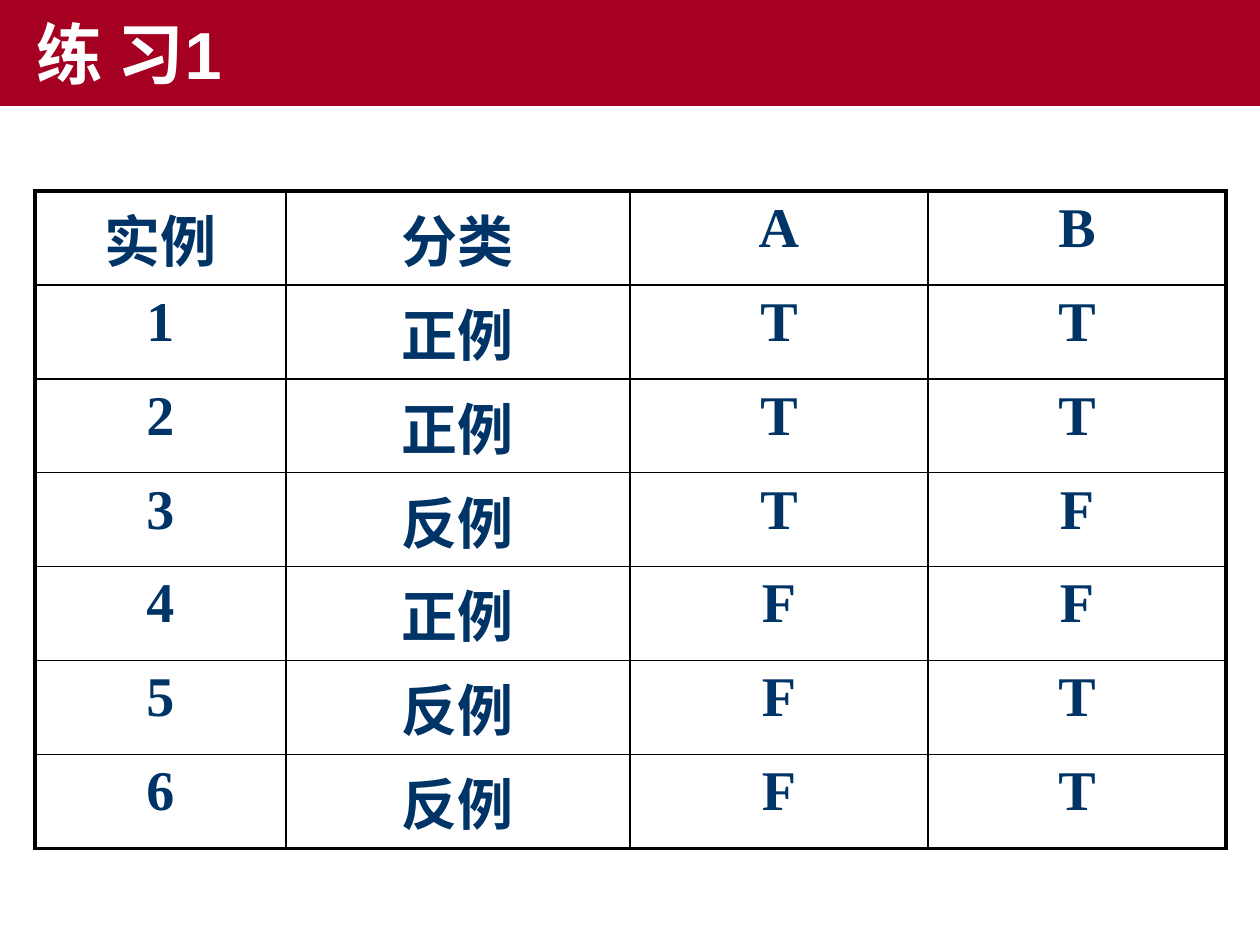
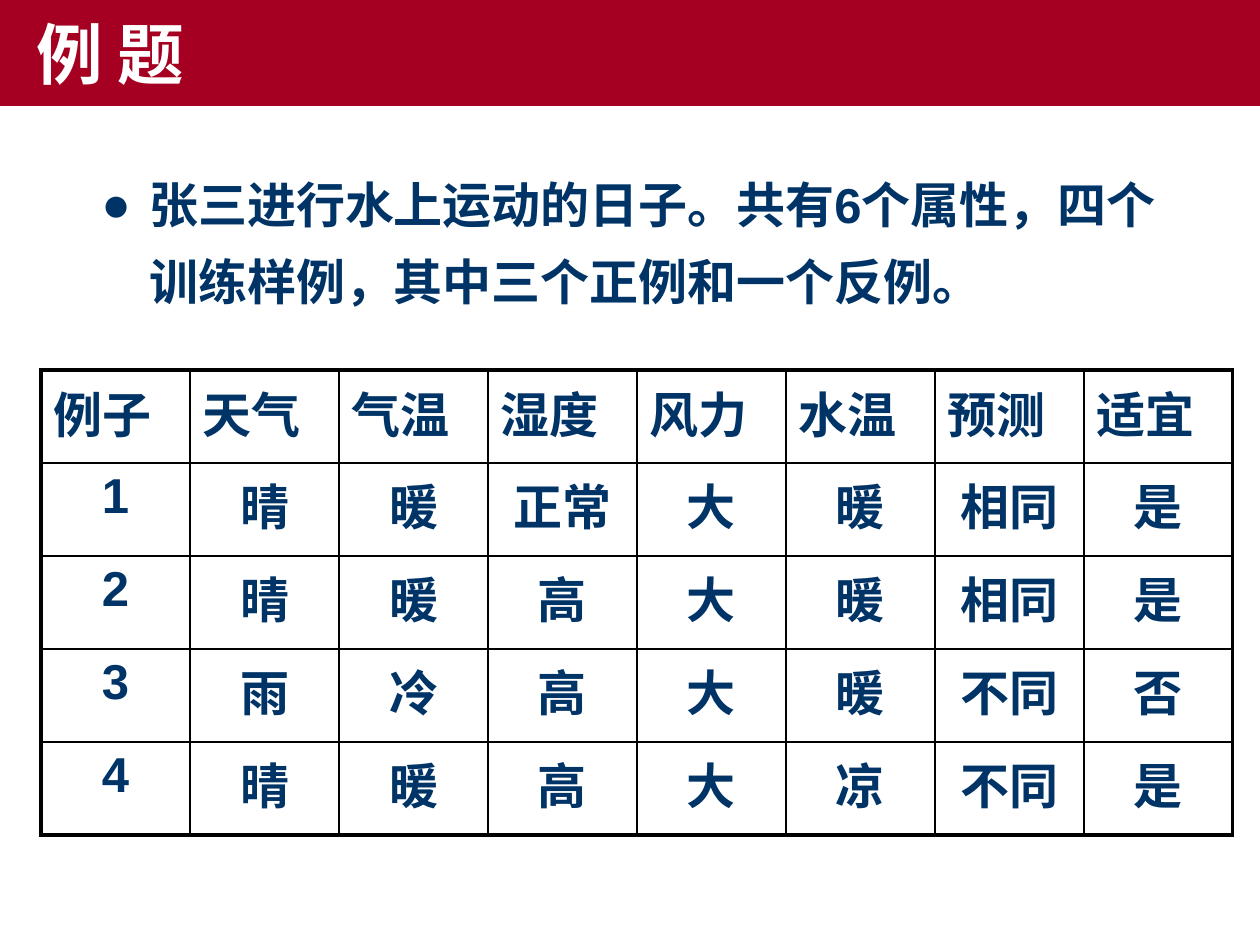
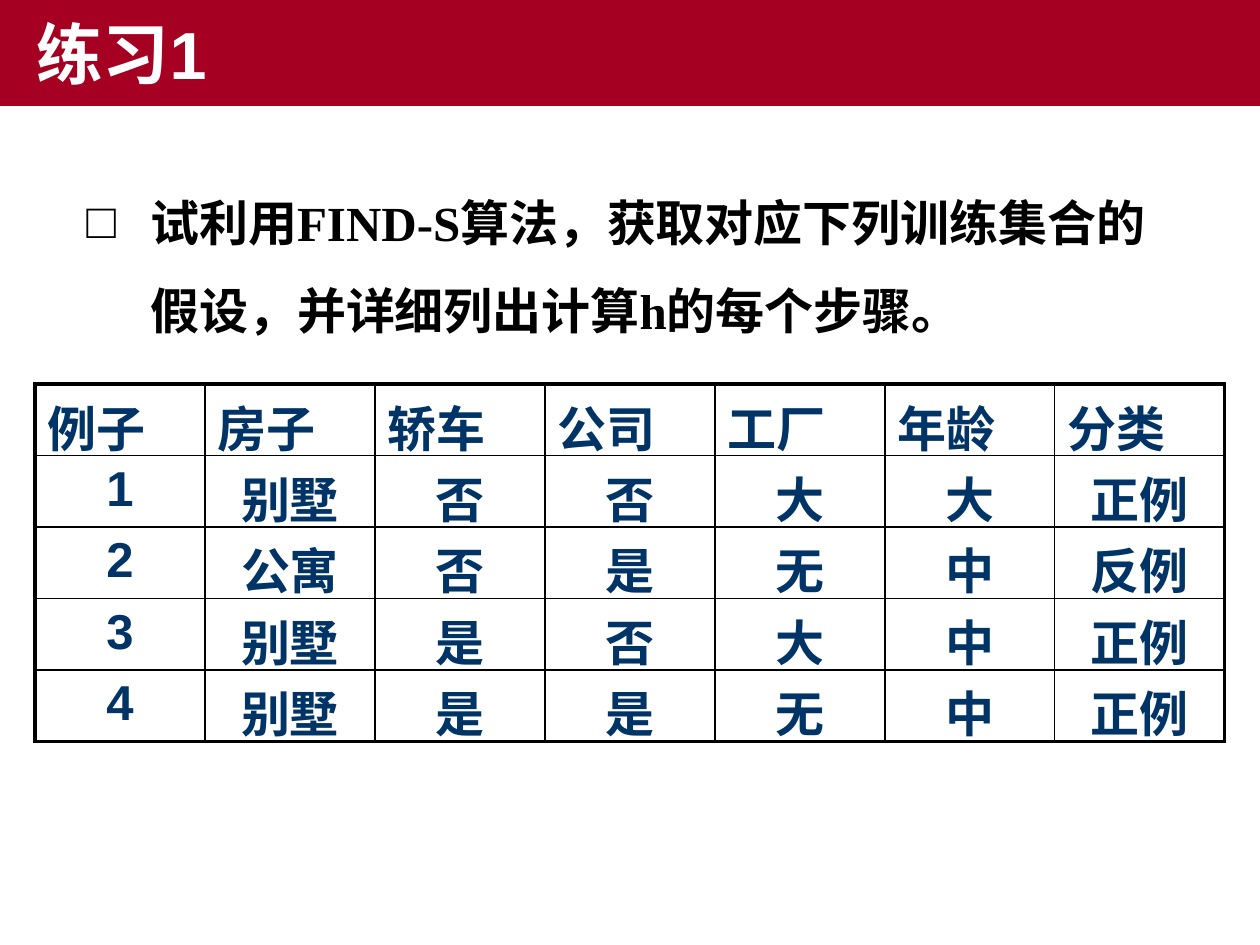
"""Builds three slides of concept-learning exercises with training tables."""
from dataclasses import dataclass

from lxml.etree import SubElement as Sub
from pptx import Presentation
from pptx.dml.color import RGBColor as Rgb
from pptx.enum.shapes import MSO_SHAPE as Shape
from pptx.enum.text import MSO_ANCHOR as Anchor, PP_ALIGN as Align
from pptx.oxml import parse_xml
from pptx.oxml.ns import nsdecls, qn
from pptx.util import Emu, Pt


@dataclass(frozen=True)
class Theme:
    """Colours, fonts, type sizes and line widths shared by the slides."""
    band: str = "A50021"
    navy: str = "003366"
    black: str = "000000"
    white: str = "FFFFFF"
    sans: str = "Arial"
    serif: str = "Times New Roman"
    title: int = 38
    big: int = 32
    body: int = 28
    frame: float = 2.25
    rule: float = 1


T = Theme()
WIDE, HIGH, BAND = 1260, 945, 106

SLIDES = [
    {
        "title": "练 习1",
        "table": {
            "at": (35, 191), "cols": [251, 344, 298, 298], "row": 85,
            "size": T.big, "font": T.serif, "head": Align.CENTER,
            "rows": [
                ("实例", "分类", "A", "B"),
                ("1", "正例", "T", "T"),
                ("2", "正例", "T", "T"),
                ("3", "反例", "T", "F"),
                ("4", "正例", "F", "F"),
                ("5", "反例", "F", "T"),
                ("6", "反例", "F", "T"),
            ],
        },
    },
    {
        "title": "例 题",
        "note": {
            "text": "张三进行水上运动的日子。共有6个属性，四个训练样例，其中三个正例和一个反例。",
            "box": (89, 151, 1081, 164), "mark": "●", "hang": 48,
            "space": 1.3, "font": T.sans, "color": T.navy,
        },
        "table": {
            "at": (41, 370), "cols": [149] * 8, "row": 93,
            "size": T.body, "font": T.sans, "head": Align.LEFT,
            "rows": [
                ("例子", "天气", "气温", "湿度", "风力", "水温", "预测", "适宜"),
                ("1", "晴", "暖", "正常", "大", "暖", "相同", "是"),
                ("2", "晴", "暖", "高", "大", "暖", "相同", "是"),
                ("3", "雨", "冷", "高", "大", "暖", "不同", "否"),
                ("4", "晴", "暖", "高", "大", "凉", "不同", "是"),
            ],
        },
    },
    {
        "title": "练习1",
        "note": {
            "text": "试利用FIND-S算法，获取对应下列训练集合的假设，并详细列出计算h的每个步骤。",
            "box": (74, 157, 1111, 208), "mark": "□", "hang": 64,
            "space": 1.5, "font": T.serif, "color": T.black,
        },
        "table": {
            "at": (35, 384), "cols": [170] * 7, "row": 69,
            "size": T.body, "font": T.sans, "head": Align.LEFT,
            "rows": [
                ("例子", "房子", "轿车", "公司", "工厂", "年龄", "分类"),
                ("1", "别墅", "否", "否", "大", "大", "正例"),
                ("2", "公寓", "否", "是", "无", "中", "反例"),
                ("3", "别墅", "是", "否", "大", "中", "正例"),
                ("4", "别墅", "是", "是", "无", "中", "正例"),
            ],
        },
    },
]


def px(n):
    """Turns pixels into EMU."""
    return Emu(round(n * 914400 / 126))


def style(para, font, size, color):
    """Formats every run of a paragraph in bold."""
    for run in para.runs:
        run.font.name, run.font.size, run.font.bold = font, Pt(size), True
        run.font.color.rgb = Rgb.from_string(color)


def add_band(slide, text):
    """Adds the title band."""
    band = slide.shapes.add_shape(Shape.RECTANGLE, 0, 0, px(WIDE), px(BAND))
    band.shadow.inherit = False
    band.fill.solid()
    band.fill.fore_color.rgb = Rgb.from_string(T.band)
    band.line.fill.background()
    frame = band.text_frame
    frame.text, frame.vertical_anchor = text, Anchor.MIDDLE
    para = frame.paragraphs[0]
    para.alignment = Align.LEFT
    para._p.get_or_add_pPr().set("indent", str(px(24)))
    style(para, T.sans, T.title, T.white)


def add_note(slide, note):
    """Adds the bulleted task text."""
    frame = slide.shapes.add_textbox(*map(px, note["box"])).text_frame
    frame.word_wrap = True
    frame.text = note["text"]
    para = frame.paragraphs[0]
    para.line_spacing = note["space"]
    props = para._p.get_or_add_pPr()
    props.set("marL", str(px(note["hang"])))
    props.set("indent", str(-px(note["hang"])))
    Sub(props, qn("a:buFont")).set("typeface", T.sans)
    Sub(props, qn("a:buChar")).set("char", note["mark"])
    style(para, note["font"], T.body, note["color"])


def add_edges(cell, outer):
    """Draws the four borders of a cell, thicker on the outer sides."""
    props = cell._tc.get_or_add_tcPr()
    for i, side in enumerate("LRTB"):
        width = Pt(T.frame if side in outer else T.rule)
        props.insert(i, parse_xml(
            f'<a:ln{side} {nsdecls("a")} w="{width}"><a:solidFill>'
            f'<a:srgbClr val="{T.black}"/></a:solidFill></a:ln{side}>'))


def add_grid(slide, data):
    """Adds a framed table."""
    rows, cols, tall = data["rows"], data["cols"], data["row"]
    box = (*data["at"], sum(cols), tall * len(rows))
    grid = slide.shapes.add_table(len(rows), len(cols), *map(px, box)).table
    grid.first_row = grid.horz_banding = False
    for col, wide in zip(grid.columns, cols):
        col.width = px(wide)
    for r, row in enumerate(rows):
        grid.rows[r].height = px(tall)
        for c, text in enumerate(row):
            cell = grid.cell(r, c)
            cell.text_frame.text = text
            para = cell.text_frame.paragraphs[0]
            para.alignment = Align.CENTER if r else data["head"]
            font = data["font"] if r or c else T.serif
            style(para, font, data["size"], T.navy)
            cell.fill.background()
            ends = {"L": c == 0, "R": c == len(cols) - 1,
                    "T": r == 0, "B": r == len(rows) - 1}
            add_edges(cell, [side for side, end in ends.items() if end])


def main():
    """Builds and saves the deck."""
    deck = Presentation()
    deck.slide_width, deck.slide_height = px(WIDE), px(HIGH)
    for page in SLIDES:
        slide = deck.slides.add_slide(deck.slide_layouts[6])
        add_band(slide, page["title"])
        if "note" in page:
            add_note(slide, page["note"])
        add_grid(slide, page["table"])
    deck.save("out.pptx")


if __name__ == "__main__":
    main()
